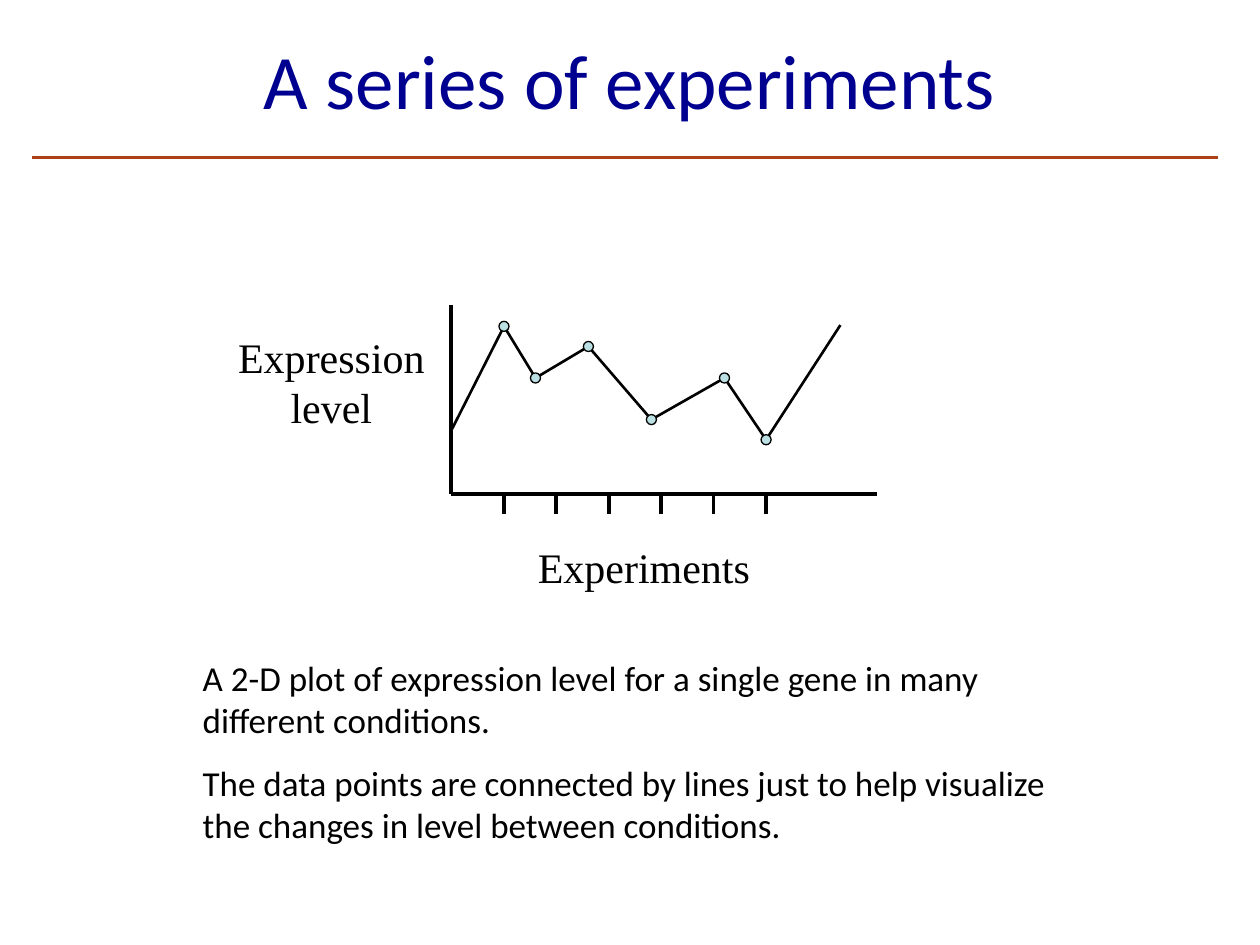
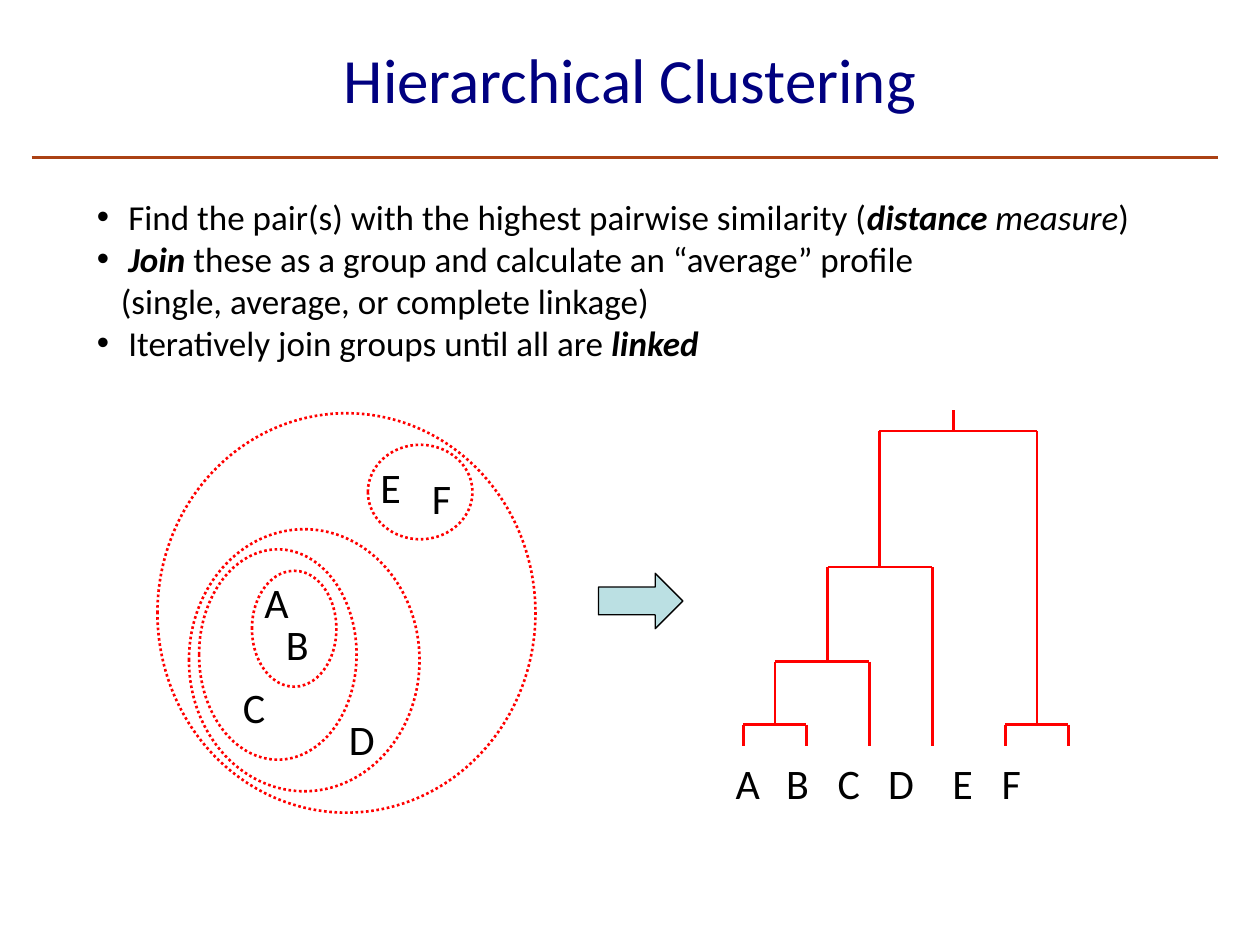
from lxml.etree import SubElement
from pptx import Presentation
from pptx.dml.color import RGBColor
from pptx.enum.dml import MSO_LINE
from pptx.enum.shapes import MSO_CONNECTOR, MSO_SHAPE
from pptx.enum.text import MSO_ANCHOR, MSO_AUTO_SIZE, PP_ALIGN
from pptx.oxml.ns import qn
from pptx.util import Inches, Pt

BLACK = RGBColor(0, 0, 0)
RED = RGBColor(0xFF, 0, 0)
RUST = RGBColor(0xAB, 0x41, 0x14)
PALE = RGBColor(0xBB, 0xE0, 0xE3)
NAVY = RGBColor(0, 0, 0x80)
BLUE = RGBColor(0, 0, 0x90)
SANS, SERIF = "Calibri", "Times New Roman"

BODY = {"name": SANS, "size": Pt(20)}
LABEL = {"name": SANS, "size": Pt(24)}
AXIS = {"name": SERIF, "size": Pt(24)}
KEY = {"bold": True, "italic": True}
SLANT = {"italic": True}


def apply(item, values):
    """Set each attribute named in values."""
    for name, value in values.items():
        setattr(item, name, value)


def write(par, runs, font, color=BLACK):
    """Fill a paragraph with (text, extra format) runs."""
    for text, extra in runs:
        run = par.add_run()
        run.text = text
        apply(run.font, {**font, **extra})
        run.font.color.rgb = color


def add_text(shapes, box, pars, font, form=None, wrap=True):
    """Add a text box with one list of runs per paragraph."""
    frame = shapes.add_textbox(*map(Inches, box)).text_frame
    frame.word_wrap = wrap
    for i, runs in enumerate(pars):
        par = frame.add_paragraph() if i else frame.paragraphs[0]
        apply(par, form or {})
        write(par, runs, font)
    return frame


def add_line(shapes, start, end, color=BLACK, width=1.5):
    """Draw a straight line without a shadow."""
    line = shapes.add_connector(MSO_CONNECTOR.STRAIGHT, *map(Inches, (*start, *end)))
    apply(line.line, {"width": Pt(width)})
    line.line.color.rgb = color
    SubElement(line._element.spPr, qn("a:effectLst"))


def add_form(shapes, kind, box, fill=PALE, color=BLACK, width=0.75, dash=None):
    """Add a preset shape, hollow when fill is None."""
    form = shapes.add_shape(kind, *map(Inches, box))
    form.shadow.inherit = False
    if fill is None:
        form.fill.background()
    else:
        form.fill.solid()
        form.fill.fore_color.rgb = fill
    apply(form.line, {"width": Pt(width), "dash_style": dash})
    form.line.color.rgb = color


def add_page(deck, text, size, color):
    """Add a slide with its title and the rule below it."""
    page = deck.slides.add_slide(deck.slide_layouts[5])
    title = page.shapes.title
    apply(title, {"left": Inches(0.75), "top": 0, "width": Inches(8.5), "height": Inches(1.25)})
    frame = title.text_frame
    apply(frame, {"vertical_anchor": MSO_ANCHOR.MIDDLE, "auto_size": MSO_AUTO_SIZE.NONE})
    frame.paragraphs[0].alignment = PP_ALIGN.CENTER
    write(frame.paragraphs[0], [(text, {})], {"name": SANS, "size": Pt(size)}, color)
    add_line(page.shapes, (0.25, 1.25), (9.67, 1.25), RUST, 2.25)
    return page.shapes


def draw_plot(shapes, left, top, wide, high):
    """Draw the axes, ticks, line and dots of the expression plot."""
    marks = [(0, 1), (0.42, 0.17), (0.67, 0.58), (1.09, 0.33), (1.59, 0.91),
             (2.17, 0.58), (2.5, 1.07), (3.09, 0.16)]
    spots = [(left + x, top + y) for x, y in marks]
    base = top + high
    for start, end in zip(spots, spots[1:]):
        add_line(shapes, start, end)
    add_line(shapes, (left, top), (left, base), width=2.25)
    add_line(shapes, (left, base), (left + wide, base), width=2.25)
    for i in range(1, 7):
        x = left + i * 2.5 / 6
        add_line(shapes, (x, base), (x, base + 0.16), width=2.25)
    for x, y in spots[1:-1]:
        add_form(shapes, MSO_SHAPE.OVAL, (x - 0.04, y - 0.04, 0.08, 0.08))
    add_text(shapes, (left - 1.91, top + 0.16, 1.92, 0.9), [[("Expression level", {})]],
             AXIS, {"alignment": PP_ALIGN.CENTER})
    add_text(shapes, (left + 0.59, base + 0.33, 1.92, 0.5), [[("Experiments", {})]], AXIS)


def draw_steps(shapes, box):
    """List the steps of the method, with one line lacking a bullet."""
    steps = [
        [("Find the pair(s) with the highest pairwise similarity (", {}),
         ("distance ", KEY), ("measure", SLANT), (")", {})],
        [("Join ", KEY), ("these as a group and calculate an “average” profile", {})],
        [("(single, average, or complete linkage)", {})],
        [("Iteratively join groups until all are ", {}), ("linked", KEY)],
    ]
    frame = add_text(shapes, box, steps, BODY)
    for i, par in enumerate(frame.paragraphs):
        props = par._p.get_or_add_pPr()
        plain = i == 2
        props.set("marL", str(Inches(0.19 if plain else 0.25)))
        props.set("indent", str(Inches(0 if plain else -0.25)))
        if not plain:
            SubElement(props, qn("a:buFont"), typeface="Arial")
            SubElement(props, qn("a:buChar"), char="•")


def draw_sets(shapes, left, top):
    """Draw the nested dotted sets and their members."""
    rings = [(0.75, 1.25, 0.67, 0.92), (1.67, 0.25, 0.83, 0.75), (0.33, 1.08, 1.25, 1.67),
             (0.25, 0.92, 1.83, 2.08), (0, 0, 3, 3.17)]
    names = {"A": (0.75, 1.25), "B": (0.92, 1.58), "C": (0.58, 2.08),
             "D": (1.42, 2.33), "E": (1.67, 0.33), "F": (2.08, 0.42)}
    group = shapes.add_group_shape().shapes
    for x, y, wide, high in rings:
        add_form(group, MSO_SHAPE.OVAL, (left + x, top + y, wide, high),
                 None, RED, 1.5, MSO_LINE.ROUND_DOT)
    for name, (x, y) in names.items():
        add_text(group, (left + x, top + y, 0.42, 0.5), [[(name, {})]], LABEL, wrap=False)


def draw_tree(shapes, left, top):
    """Draw the tree of joins and the row of leaf names."""
    leaf, pair = 2.67, 2.5
    joins = [(0.16, leaf, 0.66, leaf, pair), (2.24, leaf, 2.74, leaf, pair),
             (0.41, pair, 1.16, leaf, 2), (0.83, 2, 1.66, leaf, 1.25),
             (1.24, 1.25, 2.49, pair, 0.17)]
    group = shapes.add_group_shape().shapes
    for x1, y1, x2, y2, peak in joins:
        path = [(x1, y1), (x1, peak), (x2, peak), (x2, y2)]
        spots = [(left + x, top + y) for x, y in path]
        for start, end in zip(spots, spots[1:]):
            add_line(group, start, end, RED)
    add_line(group, (left + 1.83, top + 0.17), (left + 1.83, top), RED)
    row = add_text(group, (left, top + 2.71, 3.11, 0.5), [[("\t".join("ABCDEF"), {})]], LABEL)
    tabs = SubElement(row.paragraphs[0]._p.get_or_add_pPr(), qn("a:tabLst"))
    for stop in (0.4, 0.81, 1.21, 1.72, 2.11):
        SubElement(tabs, qn("a:tab"), pos=str(Inches(stop)), algn="l")


def build_series(deck):
    """Build the slide on a series of experiments."""
    shapes = add_page(deck, "A series of experiments", 44, BLUE)
    draw_plot(shapes, 3.58, 2.42, 3.38, 1.5)
    notes = ["A 2-D plot of expression level for a single gene in many different conditions.",
             "The data points are connected by lines just to help visualize "
             "the changes in level between conditions."]
    add_text(shapes, (1.51, 5.16, 7.22, 1.62), [[(note, {})] for note in notes],
             BODY, {"space_after": Pt(12)})


def build_cluster(deck):
    """Build the slide on hierarchical clustering."""
    shapes = add_page(deck, "Hierarchical Clustering", 36, NAVY)
    draw_steps(shapes, (0.67, 1.5, 8.75, 1.45))
    draw_sets(shapes, 1.25, 3.28)
    draw_tree(shapes, 5.74, 3.25)
    add_form(shapes, MSO_SHAPE.RIGHT_ARROW, (4.75, 4.55, 0.67, 0.44))


def main():
    """Build and save the deck."""
    deck = Presentation()
    apply(deck, {"slide_width": Inches(10), "slide_height": Inches(7.5)})
    build_series(deck)
    build_cluster(deck)
    deck.save("out.pptx")


if __name__ == "__main__":
    main()
